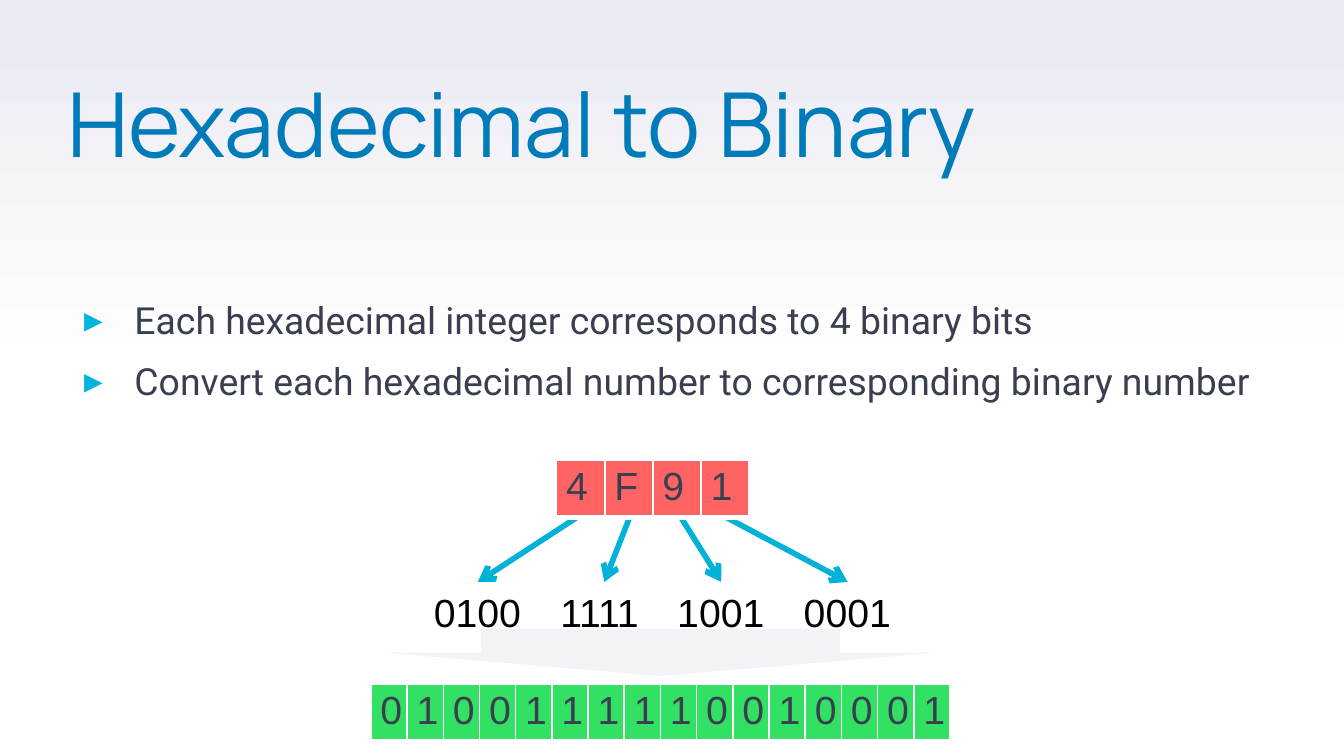
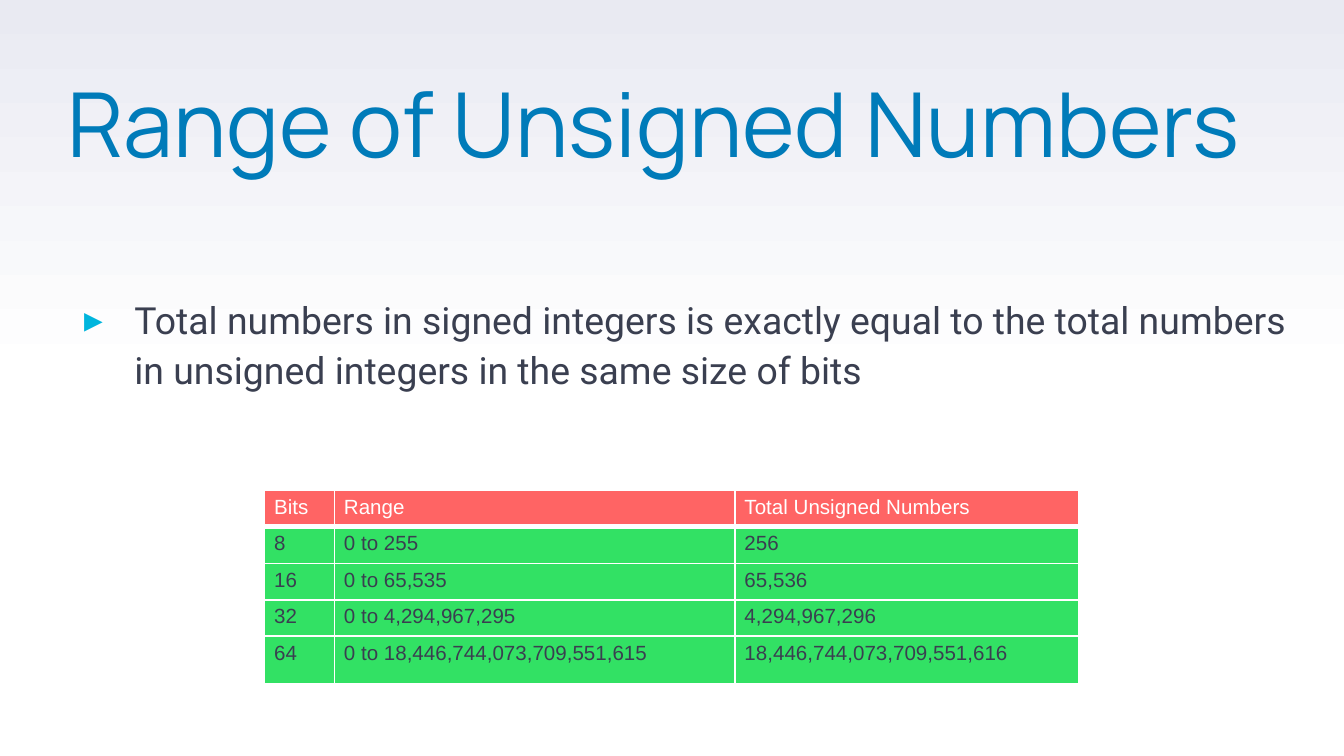
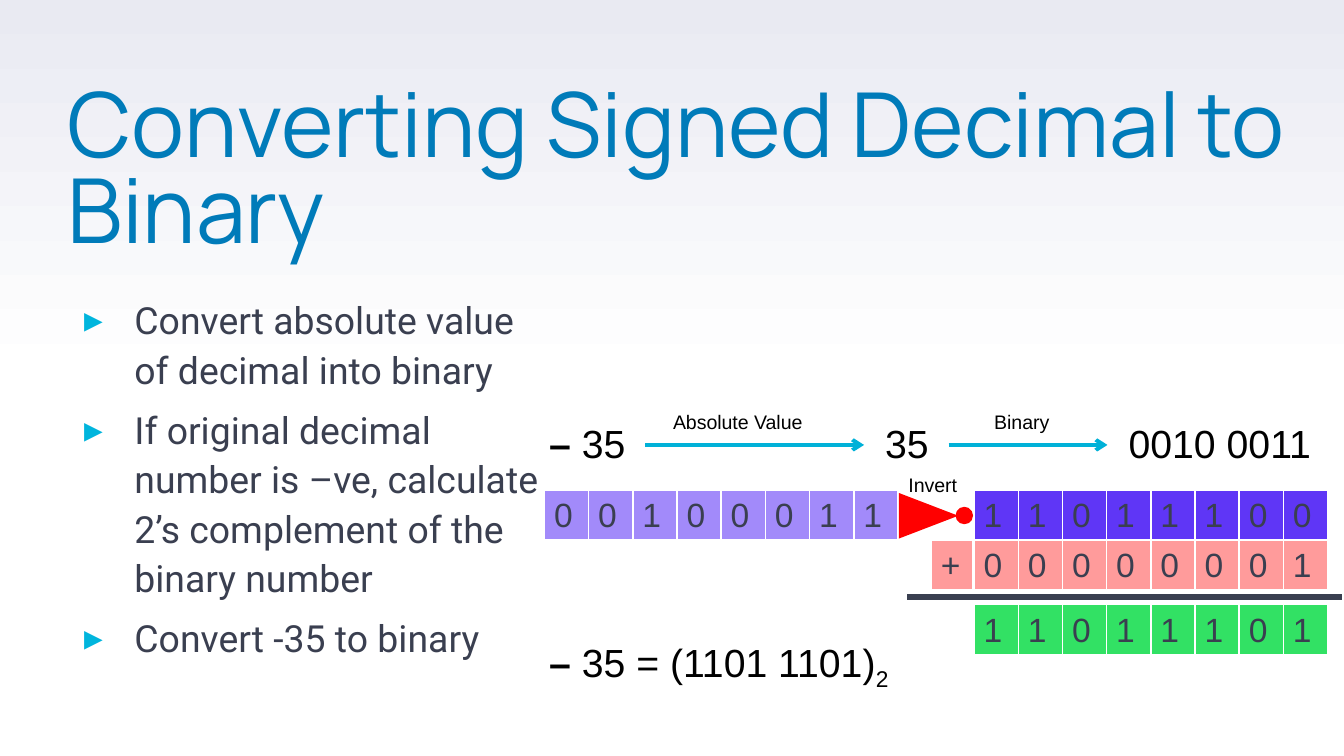
import copy
import dataclasses

import lxml.etree
import pptx
import pptx.dml.color
import pptx.enum.shapes
import pptx.enum.text
import pptx.oxml.ns
import pptx.util

Cm = pptx.util.Cm
Pt = pptx.util.Pt
qn = pptx.oxml.ns.qn
Shape = pptx.enum.shapes.MSO_SHAPE
Anchor = pptx.enum.text.MSO_ANCHOR
AutoSize = pptx.enum.text.MSO_AUTO_SIZE


@dataclasses.dataclass(frozen=True)
class Theme:
    """Colours, fonts and type sizes shared by the slides."""
    title: str = "007BB9"
    ink: str = "3A3F50"
    black: str = "000000"
    white: str = "FFFFFF"
    sky: str = "E9EAF2"
    bullet: str = "00B5DD"
    arrow: str = "00B1D8"
    pale: str = "F2F2F7"
    red: str = "FF6464"
    pink: str = "FF9B9B"
    green: str = "32E164"
    lilac: str = "A28AFA"
    violet: str = "5F36F6"
    signal: str = "FF0000"
    title_font: str = "Manrope"
    body_font: str = "Roboto"
    figure_font: str = "Arial"
    title_size: float = 48
    body_size: float = 20
    figure_size: float = 21
    bit_size: float = 18
    table_size: float = 11
    note_size: float = 10.5


THEME = Theme()


@dataclasses.dataclass(frozen=True)
class Box:
    """A region in centimetres."""
    x: float
    y: float
    w: float
    h: float

    def inner(self, dx, dy, w, h):
        """Return a box offset from this one's corner."""
        return Box(self.x + dx, self.y + dy, w, h)

    def emu(self):
        """Return left, top, width and height as lengths."""
        return Cm(self.x), Cm(self.y), Cm(self.w), Cm(self.h)


TITLE = Box(1.27, 1.68, 23.67, 3)
BODY = Box(1.27, 5.54, 23.67, 7.44)
NARROW_BODY = Box(1.27, 5.54, 9.2, 7.44)


def rgb(value):
    """Return a colour from its hex digits."""
    return pptx.dml.color.RGBColor.from_string(value)


def add_xml(parent, tag, **attrs):
    """Append a DrawingML element."""
    return lxml.etree.SubElement(parent, qn(tag), attrs)


def style(p, name, size, color):
    """Set the font of a paragraph."""
    p.font.name, p.font.size = name, Pt(size)
    p.font.color.rgb = rgb(color)


def set_background(master):
    """Give the master a gradient that is white over its lower half."""
    fill = master.background.fill
    fill.gradient()
    fill.gradient_angle = 90
    for stop, color, position in zip(fill.gradient_stops, (THEME.white, THEME.sky), (0, 1)):
        stop.color.rgb = rgb(color)
        stop.position = position
    first = next(master.element.iter(qn("a:gs")))
    middle = copy.deepcopy(first)
    middle.set("pos", "50000")
    first.addnext(middle)


def fill_placeholder(sp, box, lines, spacing):
    """Place a placeholder, write its lines and return its paragraphs."""
    sp.left, sp.top, sp.width, sp.height = box.emu()
    tf = sp.text_frame
    tf.text = "\n".join(lines)
    tf.margin_left = tf.margin_right = tf.margin_top = tf.margin_bottom = 0
    tf.vertical_anchor, tf.auto_size = Anchor.TOP, AutoSize.NONE
    for p in tf.paragraphs:
        p.alignment = pptx.enum.text.PP_ALIGN.LEFT
        p.line_spacing = spacing
    return tf.paragraphs


def add_slide(prs, title, bullets, body=BODY):
    """Add a slide with its title and bulleted list."""
    slide = prs.slides.add_slide(prs.slide_layouts[1])
    for p in fill_placeholder(slide.shapes.title, TITLE, [title], 0.8):
        p.space_before = Pt(0)
        style(p, THEME.title_font, THEME.title_size, THEME.title)
    for p in fill_placeholder(slide.placeholders[1], body, bullets, 1.1):
        p.space_before = Pt(6)
        pPr = p._p.get_or_add_pPr()
        pPr.set("marL", str(Cm(1.27)))
        pPr.set("indent", str(-Cm(0.95)))
        add_xml(add_xml(pPr, "a:buClr"), "a:srgbClr", val=THEME.bullet)
        add_xml(pPr, "a:buFont", typeface=THEME.body_font)
        add_xml(pPr, "a:buChar", char="▸")
        style(p, THEME.body_font, THEME.body_size, THEME.ink)
    return slide


def add_label(slide, box, *texts, size=THEME.figure_size):
    """Add a one-line text and return its runs."""
    tf = slide.shapes.add_textbox(*box.emu()).text_frame
    tf.word_wrap, tf.auto_size = False, AutoSize.SHAPE_TO_FIT_TEXT
    p = tf.paragraphs[0]
    for text in texts:
        p.add_run().text = text
    style(p, THEME.figure_font, size, THEME.black)
    return p.runs


def add_line(slide, start, end, color, width, arrow=True):
    """Add a straight line, with an arrowhead at its end if asked."""
    line = slide.shapes.add_connector(
        pptx.enum.shapes.MSO_CONNECTOR.STRAIGHT, *map(Cm, start + end))
    line.line.color.rgb = rgb(color)
    line.line.width = Pt(width)
    spPr = line._element.spPr
    if arrow:
        add_xml(spPr.get_or_add_ln(), "a:tailEnd", type="arrow")
    add_xml(spPr, "a:effectLst")


def add_solid(shapes, kind, box, color):
    """Add a plain filled shape."""
    sp = shapes.add_shape(kind, *box.emu())
    sp.shadow.inherit = False
    sp.fill.solid()
    sp.fill.fore_color.rgb = rgb(color)
    sp.line.fill.background()
    return sp


def format_cell(cell, text, size, color, fill, bottom, anchor):
    """Write and format one table cell with white borders."""
    cell.text = text
    cell.margin_left = cell.margin_right = Cm(0.18)
    cell.margin_top = cell.margin_bottom = Cm(0.1)
    cell.vertical_anchor = anchor
    style(cell.text_frame.paragraphs[0], THEME.figure_font, size, color)
    tcPr = cell._tc.get_or_add_tcPr()
    for side, width in (("L", 1), ("R", 1), ("T", 1), ("B", bottom)):
        ln = add_xml(tcPr, f"a:ln{side}", w=str(Pt(width)))
        add_xml(add_xml(ln, "a:solidFill"), "a:srgbClr", val=THEME.white)
    cell.fill.solid()
    cell.fill.fore_color.rgb = rgb(fill)


def add_grid(slide, box, widths, heights):
    """Add an unstyled table with the given columns and rows."""
    table = slide.shapes.add_table(len(heights), len(widths), *box.emu()).table
    table.first_row = table.horz_banding = False
    for column, width in zip(table.columns, widths):
        column.width = Cm(width)
    for row, height in zip(table.rows, heights):
        row.height = Cm(height)
    return table


def add_digits(slide, box, digits, fill, size=THEME.bit_size, anchor=Anchor.MIDDLE):
    """Add a row of equal cells, one for each digit."""
    count = len(digits)
    table = add_grid(slide, box, [box.w / count] * count, [box.h])
    for cell, digit in zip(table.rows[0].cells, digits):
        format_cell(cell, digit, size, THEME.ink, fill, 3, anchor)


def draw_hex_expansion(slide, box):
    """Draw hexadecimal digits opening into nibbles and joined bits."""
    nibbles = ("0100", "1111", "1001", "0001")
    label_lefts = (0.94, 3.33, 5.54, 7.93)
    arrow_starts = (3.94, 4.9, 5.84, 6.66)
    label_top = 2.31
    for nibble, left, start in zip(nibbles, label_lefts, arrow_starts):
        label = box.inner(left, label_top, 2.16, 1.14)
        add_label(slide, label, nibble)
        add_line(slide, (box.x + start, box.y + 1.06),
                 (label.x + label.w / 2, label.y), THEME.arrow, 3)
    digits = {"size": THEME.figure_size, "anchor": Anchor.TOP}
    add_digits(slide, box.inner(3.51, 0, 3.64, 1.07), "4F91", THEME.red, **digits)
    add_digits(slide, box.inner(0, 4.24, box.w, 1.07), "".join(nibbles), THEME.green, **digits)
    funnel = add_solid(slide.shapes, Shape.DOWN_ARROW,
                       box.inner(0.25, 3.2, 10.44, 0.89), THEME.pale)
    funnel.adjustments[0], funnel.adjustments[1] = 0.65, 0.5


def draw_range_table(slide, box):
    """Draw the table of unsigned ranges."""
    rows = (
        ("Bits", "Range", "Total Unsigned Numbers"),
        *((str(bits), f"0 to {2 ** bits - 1:,}", f"{2 ** bits:,}")
          for bits in (8, 16, 32, 64)),
    )
    table = add_grid(slide, box, (1.32, 7.57, 6.5), (0.69, 0.69, 0.69, 0.69, 0.89))
    for i, (row, texts) in enumerate(zip(table.rows, rows)):
        look = (THEME.ink, THEME.green, 1) if i else (THEME.white, THEME.red, 3)
        for cell, text in zip(row.cells, texts):
            format_cell(cell, text, THEME.table_size, *look, Anchor.TOP)


def draw_value_steps(slide, box):
    """Draw the steps from the signed decimal to its absolute bits."""
    for left, width, texts in ((0, 1.96, ("– ", "35")), (6.35, 1.35, ("35",)),
                               (10.95, 4.04, ("0010 0011",))):
        runs = add_label(slide, box.inner(left, 0.18, width, 1.14), *texts)
        runs[0].font.bold = len(texts) > 1
    for start, end, left, width, note in ((2.06, 6.2, 2.34, 3.05, "Absolute Value"),
                                          (7.8, 10.8, 8.41, 1.57, "Binary")):
        y = box.y + 0.79
        add_line(slide, (box.x + start, y), (box.x + end, y), THEME.arrow, 2)
        add_label(slide, box.inner(left, 0, width, 0.71), note, size=THEME.note_size)


def draw_inverter(slide, box):
    """Draw the inverter symbol and its caption."""
    shapes = slide.shapes.add_group_shape().shapes
    triangle = add_solid(shapes, Shape.ISOSCELES_TRIANGLE,
                         box.inner(0.2, 0.38, 0.86, 1.12), THEME.signal)
    triangle.rotation = 90
    add_solid(shapes, Shape.OVAL, box.inner(1.14, 0.77, 0.33, 0.33), THEME.signal)
    add_label(slide, box.inner(0, 0, box.w, 0.71), "Invert", size=THEME.note_size)


def draw_complement(slide, box):
    """Draw the two's complement sum and its result."""
    for left, top, width, digits, fill in (
        (0.16, 0, 6.68, "00100011", THEME.lilac),
        (8.28, 0, 6.68, "11011100", THEME.violet),
        (7.47, 0.94, 0.79, "+", THEME.pink),
        (8.28, 2.16, 6.68, "11011101", THEME.green),
        (8.28, 0.94, 6.68, "00000001", THEME.pink),
    ):
        add_digits(slide, box.inner(left, top, width, 0.97), digits, fill)
    y = box.y + 2.01
    add_line(slide, (box.x + 7.02, y), (box.x + box.w, y), THEME.ink, 3, arrow=False)
    draw_inverter(slide, box.inner(6.79, -0.46, 1.45, 1.6))
    sign, _, base = add_label(slide, box.inner(0, 2.67, 7.11, 1.14),
                              "– ", "35 = (1101 1101)", "2")
    sign.font.bold = True
    base._r.get_or_add_rPr().set("baseline", "-25000")


def main():
    """Build and save the presentation."""
    prs = pptx.Presentation()
    prs.slide_width, prs.slide_height = Cm(25.4), Cm(14.29)
    set_background(prs.slide_master)

    slide = add_slide(prs, "Hexadecimal to Binary", (
        "Each hexadecimal integer corresponds to 4 binary bits",
        "Convert each hexadecimal number to corresponding binary number"))
    draw_hex_expansion(slide, Box(7.01, 8.69, 10.95, 5.31))

    slide = add_slide(prs, "Range of Unsigned Numbers", (
        "Total numbers in signed integers is exactly equal to the total numbers "
        "in unsigned integers in the same size of bits",))
    draw_range_table(slide, Box(5, 9.27, 15.39, 3.65))

    slide = add_slide(prs, "Converting Signed Decimal to Binary", (
        "Convert absolute value of decimal into binary",
        "If original decimal number is –ve, calculate 2’s complement of the binary number",
        "Convert -35 to binary"), NARROW_BODY)
    draw_value_steps(slide, Box(10.13, 7.62, 15.24, 1.32))
    draw_complement(slide, Box(10.13, 9.27, 15.24, 3.81))

    prs.save("out.pptx")


if __name__ == "__main__":
    main()
